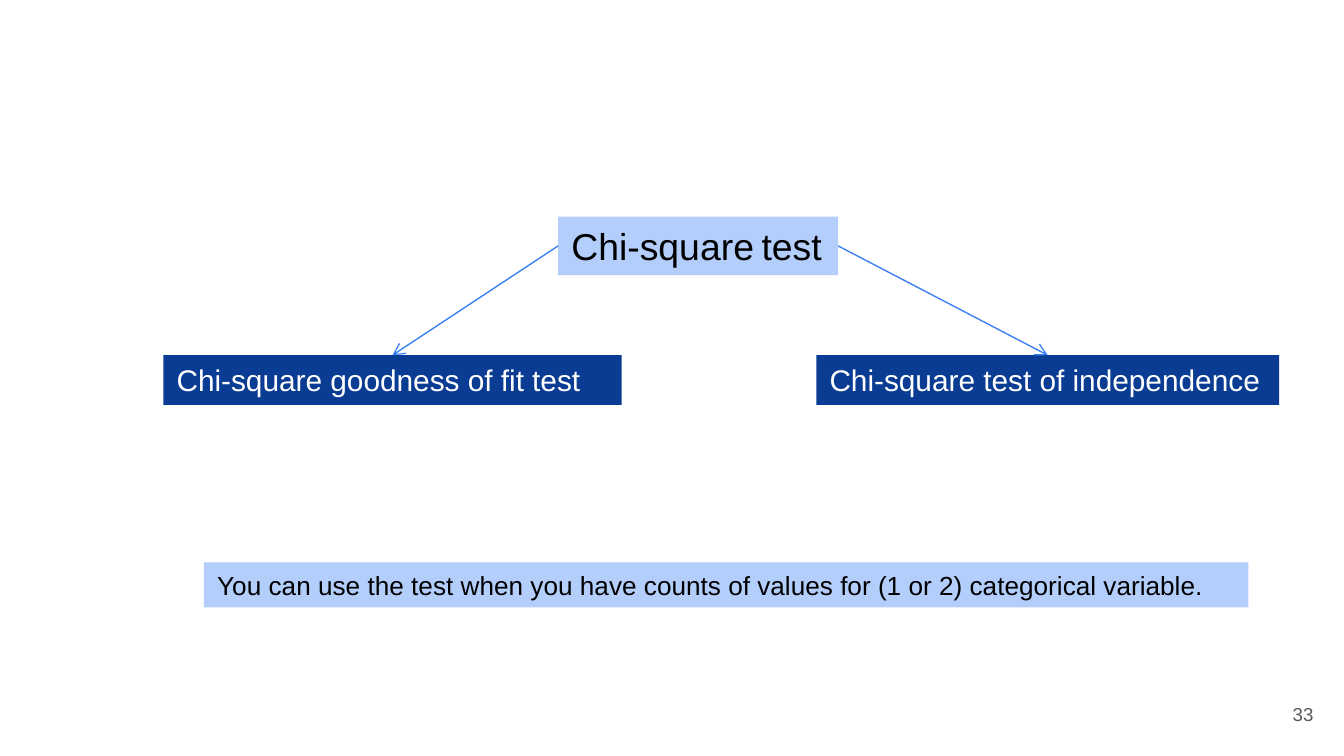
from pptx import Presentation
from pptx.util import Pt
from pptx.dml.color import RGBColor
from pptx.enum.shapes import MSO_CONNECTOR as Conn
from pptx.enum.text import MSO_ANCHOR as Anchor, PP_ALIGN as Align
from pptx.oxml.ns import qn
from lxml.etree import SubElement as Sub

PALE = RGBColor(0xB3, 0xCE, 0xFB)
NAVY = RGBColor(0x09, 0x3C, 0x92)
BLUE = RGBColor(0x3C, 0x81, 0xF3)
GREY = RGBColor(0x59, 0x59, 0x59)
BLACK = RGBColor(0, 0, 0)
WHITE = RGBColor(0xFF, 0xFF, 0xFF)

deck = Presentation()
deck.slide_width, deck.slide_height = Pt(720), Pt(405)
slide = deck.slides.add_slide(deck.slide_layouts[6])


def add_text(left, top, width, height, runs, color, fill=None, wrap=True):
    box = slide.shapes.add_textbox(Pt(left), Pt(top), Pt(width), Pt(height))
    if fill is not None:
        box.fill.solid()
        box.fill.fore_color.rgb = fill
    frame = box.text_frame
    frame.word_wrap = wrap
    for text, size in runs:
        run = frame.paragraphs[0].add_run()
        run.text = text
        run.font.name = "Arial"
        run.font.size = Pt(size)
        run.font.color.rgb = color
    return box


title = [("Chi-square", 20), (" ", 14), ("test", 20)]
root = add_text(299, 116, 150, 31.5, title, BLACK, PALE, False)
fit = add_text(87.5, 190.3, 245.5, 26.7,
               [("Chi-square goodness of fit test", 16)], WHITE, NAVY)
indep = add_text(437.3, 190.3, 248, 26.7,
                 [("Chi-square test of independence", 16)], WHITE, NAVY, False)

mid = root.top + root.height // 2
for start, leaf in ((root.left, fit), (root.left + root.width, indep)):
    end = leaf.left + leaf.width // 2
    line = slide.shapes.add_connector(Conn.STRAIGHT, start, mid, end, leaf.top)
    line.line.color.rgb = BLUE
    line.line.width = Pt(0.75)
    Sub(line.line._get_or_add_ln(), qn("a:tailEnd"), type="arrow")
    Sub(line._element.spPr, qn("a:effectLst"))

note = ("You can use the test when you have counts of values "
        "for (1 or 2) categorical variable.")
add_text(109.3, 301.3, 559.5, 24.2, [(note, 14)], BLACK, PALE)

page = add_text(667.5, 367.2, 43.2, 31, [("33", 10)], GREY).text_frame
page.vertical_anchor = Anchor.MIDDLE
page.paragraphs[0].alignment = Align.RIGHT
page.margin_left = page.margin_right = Pt(7.2)
page.margin_top = page.margin_bottom = Pt(7.2)

deck.save("out.pptx")
